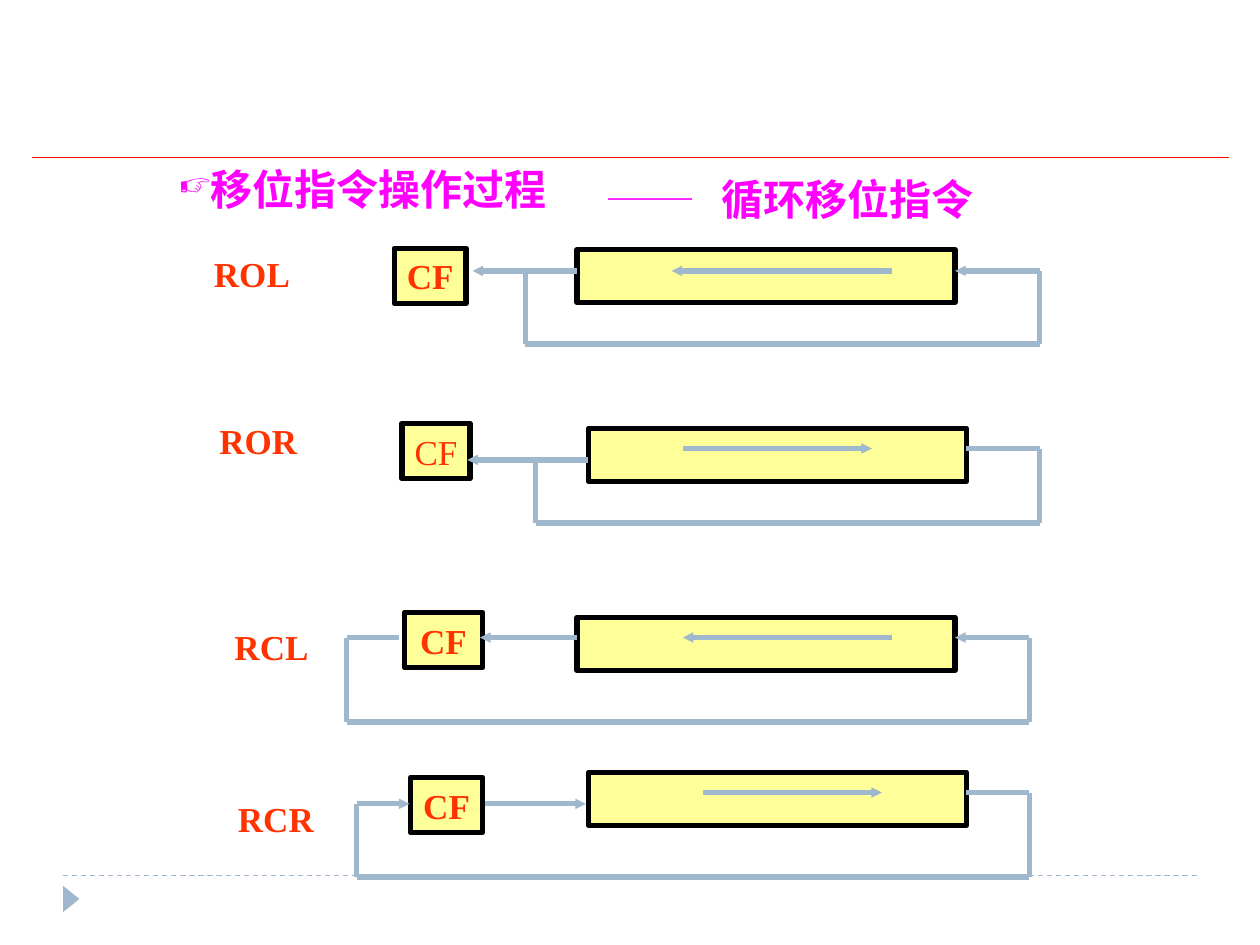
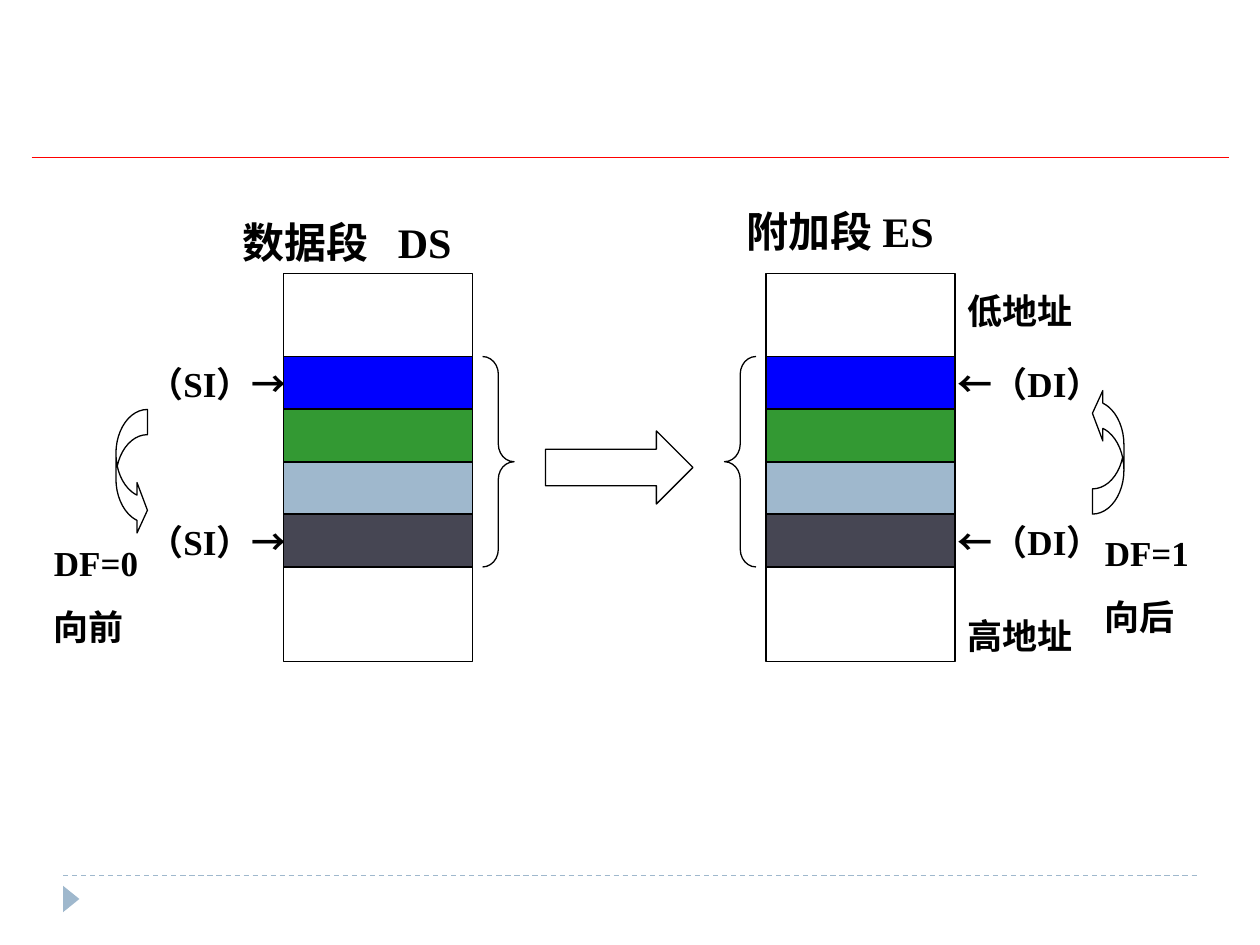
from typing import NamedTuple, Optional

from lxml.etree import SubElement
from pptx import Presentation
from pptx.dml.color import RGBColor
from pptx.enum.dml import MSO_LINE
from pptx.enum.shapes import MSO_CONNECTOR, MSO_SHAPE
from pptx.enum.text import MSO_ANCHOR, PP_ALIGN
from pptx.oxml.ns import qn
from pptx.util import Inches, Pt

STEEL, BLACK, RED = "9FB8CD", "000000", "FF0000"
PINK, ORANGE, YELLOW = "FF00FF", "FF3300", "FFFF99"
SERIF, SANS = "Times New Roman", "Arial"
ARROWS = "←→"

Point = tuple[float, float]
Box = tuple[float, float, float, float]


class Wire(NamedTuple):
    points: list[Point]
    arrow: bool = True


class Shift(NamedTuple):
    """One shift instruction: its name, flag box, register and wires."""
    name: str
    label: Box
    flag: Box
    register: Point
    wires: list[Wire]
    bold: bool = True


class Label(NamedTuple):
    text: str
    box: Box
    size: int = 20
    tab: Optional[float] = None


class Segment(NamedTuple):
    left: float
    brace: MSO_SHAPE
    brace_left: float


SHIFTS = [
    Shift("ROL", (1.6, 1.95, 0.8, 0.44), (3.13, 1.97, 0.57, 0.44), (4.58, 1.98), [
        Wire([(7.08, 2.15), (5.33, 2.15)]),
        Wire([(4.58, 2.15), (3.75, 2.15)]),
        Wire([(4.17, 2.15), (4.17, 2.73), (8.25, 2.73), (8.25, 2.15), (7.58, 2.15)]),
    ]),
    Shift("ROR", (1.64, 3.28, 0.82, 0.44), (3.19, 3.36, 0.54, 0.44), (4.67, 3.4), [
        Wire([(7.67, 3.56), (8.25, 3.56), (8.25, 4.15), (4.25, 4.15), (4.25, 3.65)], False),
        Wire([(4.67, 3.65), (3.71, 3.65)]),
        Wire([(5.42, 3.56), (6.92, 3.56)]),
    ], bold=False),
    Shift("RCL", (1.76, 4.91, 0.79, 0.44), (3.21, 4.86, 0.62, 0.44), (4.58, 4.9), [
        Wire([(4.58, 5.06), (3.81, 5.06)]),
        Wire([(3.17, 5.06), (2.75, 5.06), (2.75, 5.73), (8.17, 5.73), (8.17, 5.06),
              (7.58, 5.06)]),
        Wire([(7.08, 5.06), (5.42, 5.06)]),
    ]),
    Shift("RCR", (1.79, 6.28, 0.8, 0.44), (3.26, 6.17, 0.57, 0.44), (4.67, 6.13), [
        Wire([(7.67, 6.29), (8.17, 6.29), (8.17, 6.96), (2.83, 6.96), (2.83, 6.38),
              (3.25, 6.38)]),
        Wire([(5.58, 6.29), (7, 6.29)]),
        Wire([(3.85, 6.38), (4.65, 6.38)]),
    ]),
]

SEGMENTS = [
    Segment(2.25, MSO_SHAPE.RIGHT_BRACE, 3.83),
    Segment(6.08, MSO_SHAPE.LEFT_BRACE, 5.75),
]
BANDS = ["0000FF", "339933", STEEL, "464653"]
BAND_TOP, BAND_SPAN, WIDTH = 2.83, 1.67, 1.5
STEP = BAND_SPAN / len(BANDS)

LABELS = [
    Label("数据段\tDS", (1.83, 1.67, 2.33, 0.5), 24, tab=1.23),
    Label("附加段 ES", (5.83, 1.58, 2, 0.5), 24),
    Label("低地址", (7.58, 2.25, 1.92, 0.44)),
    Label("高地址", (7.58, 4.83, 1.92, 0.44)),
    Label("（SI）→", (1.08, 2.83, 1.5, 0.44)),
    Label("（SI）→", (1.08, 4.08, 1.5, 0.44)),
    Label("←（DI）", (7.5, 2.83, 1.5, 0.44)),
    Label("←（DI）", (7.5, 4.08, 1.5, 0.44)),
    Label("DF=0\n向前", (0.33, 4.25, 1.33, 0.94)),
    Label("DF=1\n向后", (8.67, 4.17, 1.33, 0.94)),
]


def rgb(code: str) -> RGBColor:
    return RGBColor.from_string(code)


def place(box: Box) -> list[int]:
    return [Inches(side) for side in box]


def add_line(slide, start: Point, end: Point, color: str, width: float,
             arrow: bool = False, dash: bool = False) -> None:
    line = slide.shapes.add_connector(MSO_CONNECTOR.STRAIGHT, *place((*start, *end)))
    line.line.color.rgb = rgb(color)
    line.line.width = Pt(width)
    if dash:
        line.line.dash_style = MSO_LINE.DASH
    props = line._element.spPr
    if arrow:
        SubElement(props.find(qn("a:ln")), qn("a:tailEnd"),
                   type="triangle", w="sm", len="sm")
    SubElement(props, qn("a:effectLst"))


def add_wire(slide, wire: Wire) -> None:
    """Join the points by straight lines; only the last may have a head."""
    last = len(wire.points) - 2
    for i, (start, end) in enumerate(zip(wire.points, wire.points[1:])):
        add_line(slide, start, end, STEEL, 3, wire.arrow and i == last)


def add_form(slide, kind: MSO_SHAPE, box: Box, fill: Optional[str] = None,
             width: float = 0.75, turn: float = 0, adjust: tuple[float, ...] = ()):
    """Add a preset shape with a black outline, or none if width is 0."""
    form = slide.shapes.add_shape(kind, *place(box))
    form.shadow.inherit = False
    form.rotation = turn
    for i, value in enumerate(adjust):
        form.adjustments[i] = value
    if fill:
        form.fill.solid()
        form.fill.fore_color.rgb = rgb(fill)
    else:
        form.fill.background()
    if width:
        form.line.color.rgb = rgb(BLACK)
        form.line.width = Pt(width)
    else:
        form.line.fill.background()
    return form


def style(runs, size: float, color: str, bold: bool = True) -> None:
    for run in runs:
        font = run.font
        font.name = SANS if run.text in ARROWS else SERIF
        font.size, font.bold = Pt(size), bold
        font.color.rgb = rgb(color)


def set_word(shape, text: str, bold: bool = True) -> None:
    """Put one short centred word in a shape."""
    frame = shape.text_frame
    frame.word_wrap = False
    frame.vertical_anchor = MSO_ANCHOR.MIDDLE
    frame.text = text
    para = frame.paragraphs[0]
    para.alignment = PP_ALIGN.CENTER
    style(para.runs, 20, ORANGE, bold)


def add_label(slide, label: Label, color: str = BLACK,
              anchor: MSO_ANCHOR = MSO_ANCHOR.TOP, mark: str = "") -> None:
    frame = slide.shapes.add_textbox(*place(label.box)).text_frame
    frame.word_wrap = True
    frame.vertical_anchor = anchor
    for i, text in enumerate(label.text.split("\n")):
        para = frame.add_paragraph() if i else frame.paragraphs[0]
        if i:
            para.space_before = Pt(12.5)
        props = para._p.get_or_add_pPr()
        if mark:
            props.set("marL", str(Inches(0.25)))
            props.set("indent", str(-Inches(0.25)))
            tint = SubElement(props, qn("a:buClr"))
            SubElement(tint, qn("a:srgbClr"), val=color)
            SubElement(props, qn("a:buSzPct"), val="76000")
            SubElement(props, qn("a:buChar"), char=mark)
        if label.tab:
            tabs = SubElement(props, qn("a:tabLst"))
            SubElement(tabs, qn("a:tab"), pos=str(Inches(label.tab)), algn="l")
        for arrow in ARROWS:
            text = text.replace(arrow, f"|{arrow}|")
        for part in filter(None, text.split("|")):
            para.add_run().text = part
        style(para.runs, label.size, color)


def add_slide(deck):
    """Add a blank slide with the shared rules and corner mark."""
    slide = deck.slides.add_slide(deck.slide_layouts[6])
    add_line(slide, (0.5, 6.95), (9.5, 6.95), STEEL, 0.75, dash=True)
    add_form(slide, MSO_SHAPE.ISOSCELES_TRIANGLE, (0.46, 7.07, 0.21, 0.13),
             STEEL, width=0, turn=90)
    add_line(slide, (0.25, 1.25), (9.75, 1.25), RED, 0.75)
    return slide


def draw_shifts(deck) -> None:
    slide = add_slide(deck)
    add_label(slide, Label("移位指令操作过程", (1.32, 1.25, 3.6, 0.5), 24),
              PINK, MSO_ANCHOR.MIDDLE, "☞")
    add_label(slide, Label("──\t循环移位指令", (4.73, 1.33, 3.32, 0.5), 24, tab=0.9),
              PINK, MSO_ANCHOR.MIDDLE)
    for shift in SHIFTS:
        flag = add_form(slide, MSO_SHAPE.RECTANGLE, shift.flag, YELLOW, 3)
        set_word(flag, "CF", shift.bold)
        add_form(slide, MSO_SHAPE.RECTANGLE, (*shift.register, 3, 0.42), YELLOW, 3)
        for wire in shift.wires:
            add_wire(slide, wire)
        set_word(slide.shapes.add_textbox(*place(shift.label)), shift.name)


def draw_move(deck) -> None:
    slide = add_slide(deck)
    for seg in SEGMENTS:
        add_form(slide, MSO_SHAPE.RECTANGLE, (seg.left, 2.17, WIDTH, 3.08))
        add_form(slide, seg.brace, (seg.brace_left, BAND_TOP, 0.25, BAND_SPAN),
                 adjust=(0.56, 0.5))
    for label in LABELS:
        add_label(slide, label)
    add_form(slide, MSO_SHAPE.RIGHT_ARROW, (4.33, 3.42, 1.17, 0.58))
    for left, top, turn in [(0.92, 3.25, 0), (8.67, 3.08, 180)]:
        add_form(slide, MSO_SHAPE.CURVED_RIGHT_ARROW, (left, top, 0.25, 1),
                 turn=turn, adjust=(0.8, 1.6, 0.33))
    for seg in SEGMENTS:
        for i, color in enumerate(BANDS):
            add_form(slide, MSO_SHAPE.RECTANGLE,
                     (seg.left, BAND_TOP + i * STEP, WIDTH, STEP), color, 1)


def main() -> None:
    deck = Presentation()
    deck.slide_width, deck.slide_height = Inches(10), Inches(7.5)
    draw_shifts(deck)
    draw_move(deck)
    deck.save("out.pptx")


if __name__ == "__main__":
    main()
